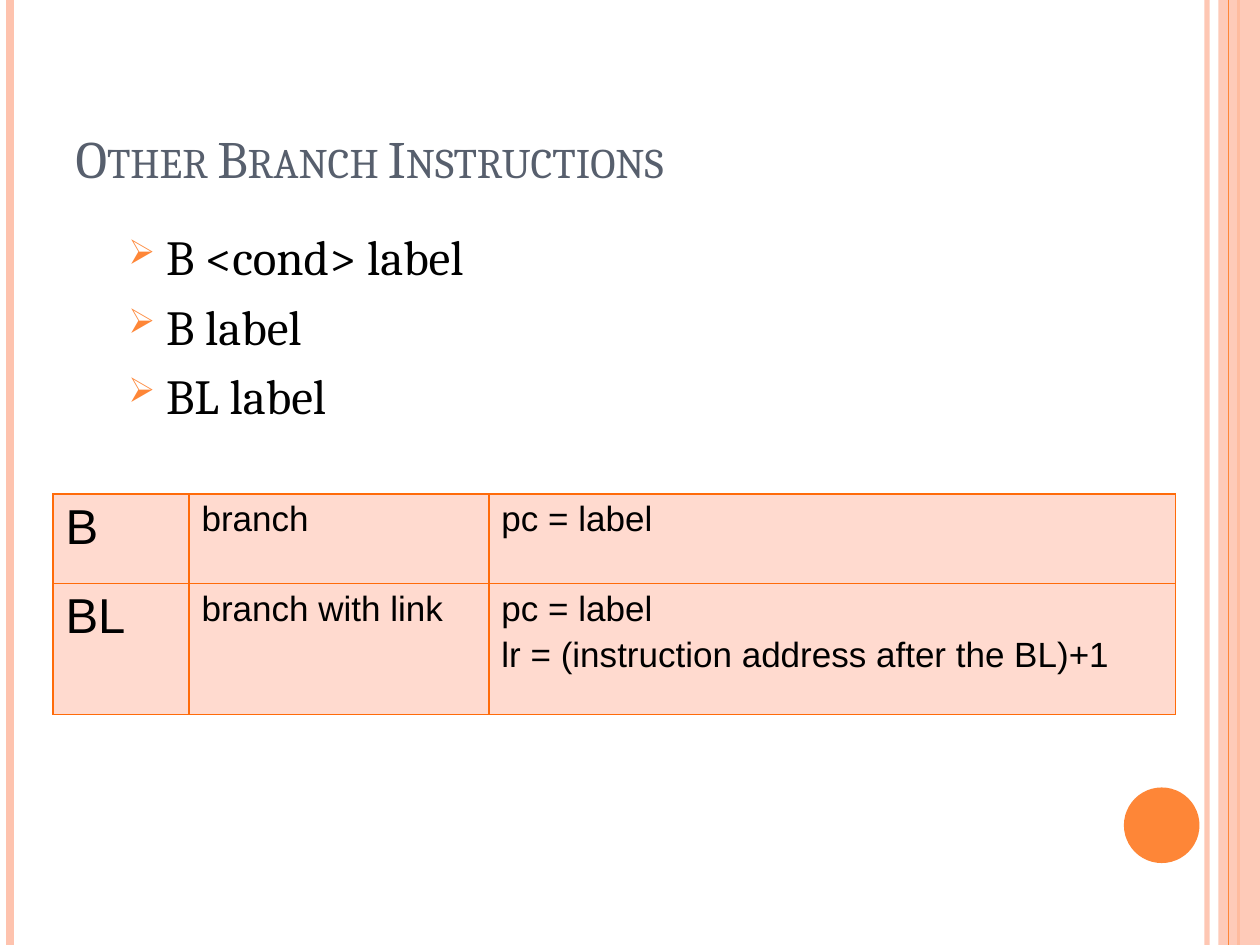
from lxml import etree
from pptx import Presentation, util as u
from pptx.dml.color import RGBColor
from pptx.enum import shapes, text
from pptx.oxml.ns import qn

COLORS = {"orange": "FE8637", "peach": "FEC3AE", "title": "575F6D", "ink": "000000",
          "grid": "FF6B0A", "cell": "FFDACF"}
WIDTH, HEIGHT = u.Inches(10), u.Inches(7.5)
TITLE = "Other Branch Instructions"
SYNTAX = ["B <cond> label", "B label", "BL label"]
INSTRUCTIONS = [
    ("B", "branch", ["pc = label"]),
    ("BL", "branch with link", ["pc = label", "lr = (instruction address after the BL)+1"]),
]


def rgb(name):
    """Look up a named colour."""
    return RGBColor.from_string(COLORS[name])


def box_of(left, top, width, height):
    """Turn a box in inches into lengths."""
    return [u.Inches(side) for side in (left, top, width, height)]


def add_xml(parent, tag, **attributes):
    """Append a drawing element with its attributes."""
    return etree.SubElement(parent, qn(tag), attributes)


def set_opacity(fill_holder, percent):
    """Make the solid colour inside an element partly transparent."""
    color = next(fill_holder.iter(qn("a:srgbClr")))
    add_xml(color, "a:alpha", val=str(percent * 1000))


def write(paragraph, words, size, font, color="ink"):
    """Add one styled run to a paragraph."""
    run = paragraph.add_run()
    run.text = words
    run.font.size, run.font.name = u.Pt(size), font
    run.font.color.rgb = rgb(color)
    return run


def add_stripe(slide, x, color, weight, opacity=100):
    """Draw a full-height vertical line."""
    stripe = slide.shapes.add_connector(
        shapes.MSO_CONNECTOR.STRAIGHT, u.Inches(x), 0, u.Inches(x), HEIGHT)
    stripe.line.color.rgb, stripe.line.width = rgb(color), u.Pt(weight)
    if opacity < 100:
        set_opacity(stripe._element.spPr, opacity)
    add_xml(stripe._element.spPr, "a:effectLst")


def add_solid(slide, preset, box, color):
    """Draw a filled shape with no outline."""
    solid = slide.shapes.add_shape(preset, *box)
    solid.shadow.inherit = False
    solid.fill.solid()
    solid.fill.fore_color.rgb = rgb(color)
    solid.line.fill.background()
    return solid


def add_frame(slide):
    """Draw the edge stripes, the right band and the page disc."""
    add_stripe(slide, 9.58, "peach", 3, 93)
    add_stripe(slide, 0.08, "peach", 4.5)
    add_stripe(slide, 9.83, "orange", 1.5)
    band = add_solid(slide, shapes.MSO_SHAPE.RECTANGLE, box_of(9.67, 0, 0.33, 7.5), "peach")
    set_opacity(band._element.spPr, 87)
    add_stripe(slide, 9.75, "orange", 0.75)
    add_solid(slide, shapes.MSO_SHAPE.OVAL, box_of(8.92, 6.25, 0.6, 0.6), "orange")


def add_title(slide, box):
    """Place the small-caps title at the bottom of its box."""
    title = slide.shapes.title
    title.left, title.top, title.width, title.height = box
    title.text_frame.vertical_anchor = text.MSO_ANCHOR.BOTTOM
    heading = title.text_frame.paragraphs[0]
    heading.alignment = text.PP_ALIGN.LEFT
    run = write(heading, TITLE, 30, "Cambria", "title")
    run.font._element.set("cap", "small")


def add_syntax(slide, box):
    """List the branch forms with arrow bullets."""
    frame = slide.shapes.add_textbox(*box).text_frame
    frame.word_wrap = True
    for index, form in enumerate(SYNTAX):
        item = frame.add_paragraph() if index else frame.paragraphs[0]
        item.space_before = u.Pt(6)
        props = item._p.get_or_add_pPr()
        props.set("marL", str(u.Inches(0.3)))
        props.set("indent", str(-u.Inches(0.3)))
        add_xml(add_xml(props, "a:buClr"), "a:srgbClr", val=COLORS["orange"])
        add_xml(props, "a:buSzPct", val="70000")
        add_xml(props, "a:buChar", char="➢")
        write(item, form, 28, "Cambria")


def fill_cell(cell, lines, size):
    """Write a cell's lines and give it its fill and borders."""
    for index, line in enumerate(lines):
        entry = cell.text_frame.add_paragraph() if index else cell.text_frame.paragraphs[0]
        entry.space_before = u.Pt(size * 0.2)
        write(entry, line, size, "Arial")
    props = cell._tc.get_or_add_tcPr()
    for side in ("a:lnL", "a:lnR", "a:lnT", "a:lnB"):
        border = add_xml(props, side, w=str(u.Pt(1)))
        add_xml(add_xml(border, "a:solidFill"), "a:srgbClr", val=COLORS["grid"])
    cell.fill.solid()
    cell.fill.fore_color.rgb = rgb("cell")


def add_instructions(slide, box, columns, rows):
    """Build the table of instructions and their effects."""
    table = slide.shapes.add_table(len(rows), len(columns), *box).table
    table.first_row = table.horz_banding = False
    for column, width in zip(table.columns, columns):
        column.width = u.Inches(width)
    for row, height, (mnemonic, meaning, effect) in zip(table.rows, rows, INSTRUCTIONS):
        row.height = u.Inches(height)
        for cell, lines, size in zip(row.cells, ([mnemonic], [meaning], effect), (28, 20, 20)):
            fill_cell(cell, lines, size)


def main():
    """Build and save the slide."""
    deck = Presentation()
    deck.slide_width, deck.slide_height = WIDTH, HEIGHT
    slide = deck.slides.add_slide(deck.slide_layouts[5])
    add_frame(slide)
    add_title(slide, box_of(0.5, 0.3, 9, 1.25))
    add_syntax(slide, box_of(0.92, 1.75, 4.17, 1.92))
    add_instructions(slide, box_of(0.42, 3.92, 8.92, 1.75), (1.08, 2.38, 5.45), (0.71, 1.04))
    deck.save("out.pptx")


if __name__ == "__main__":
    main()
